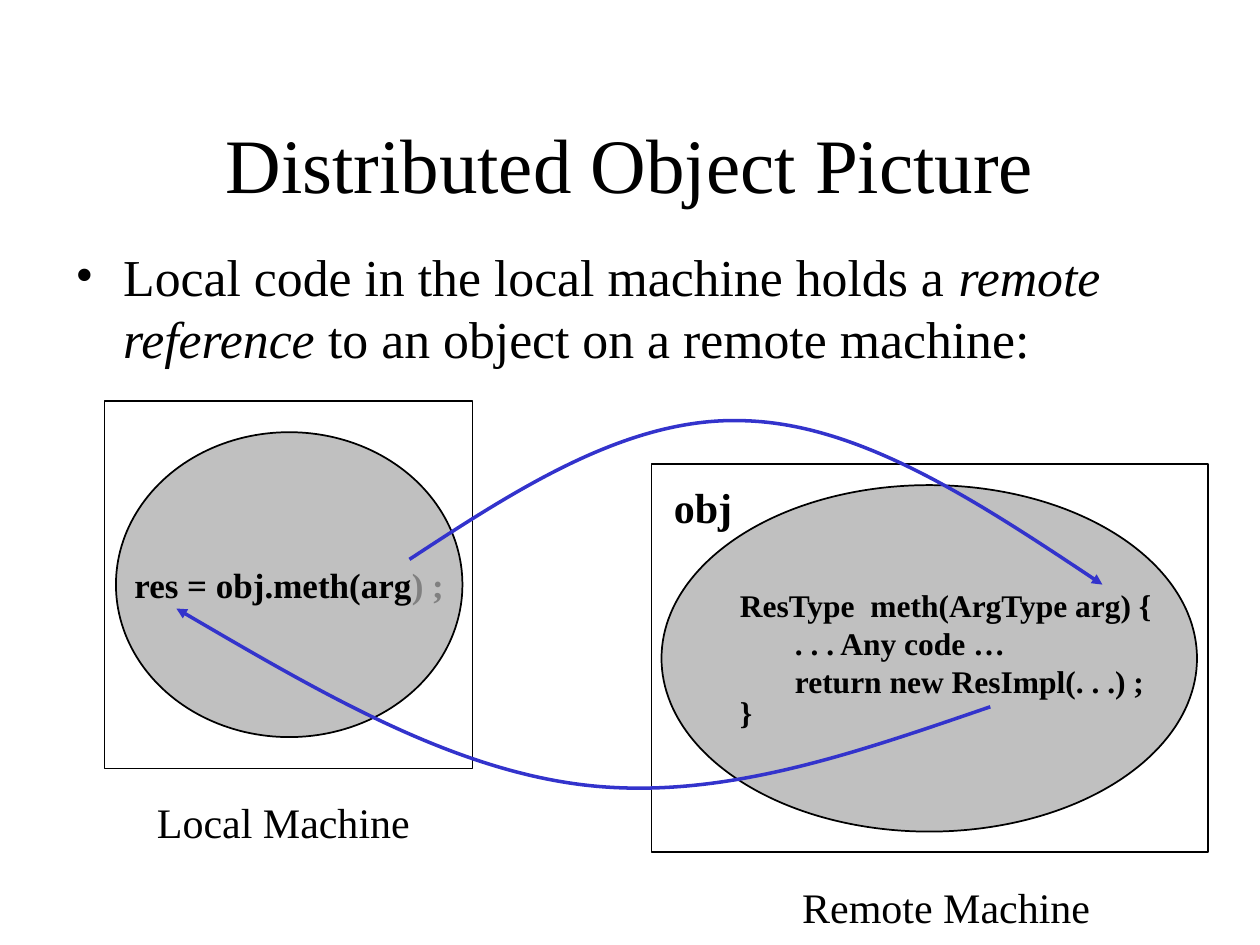
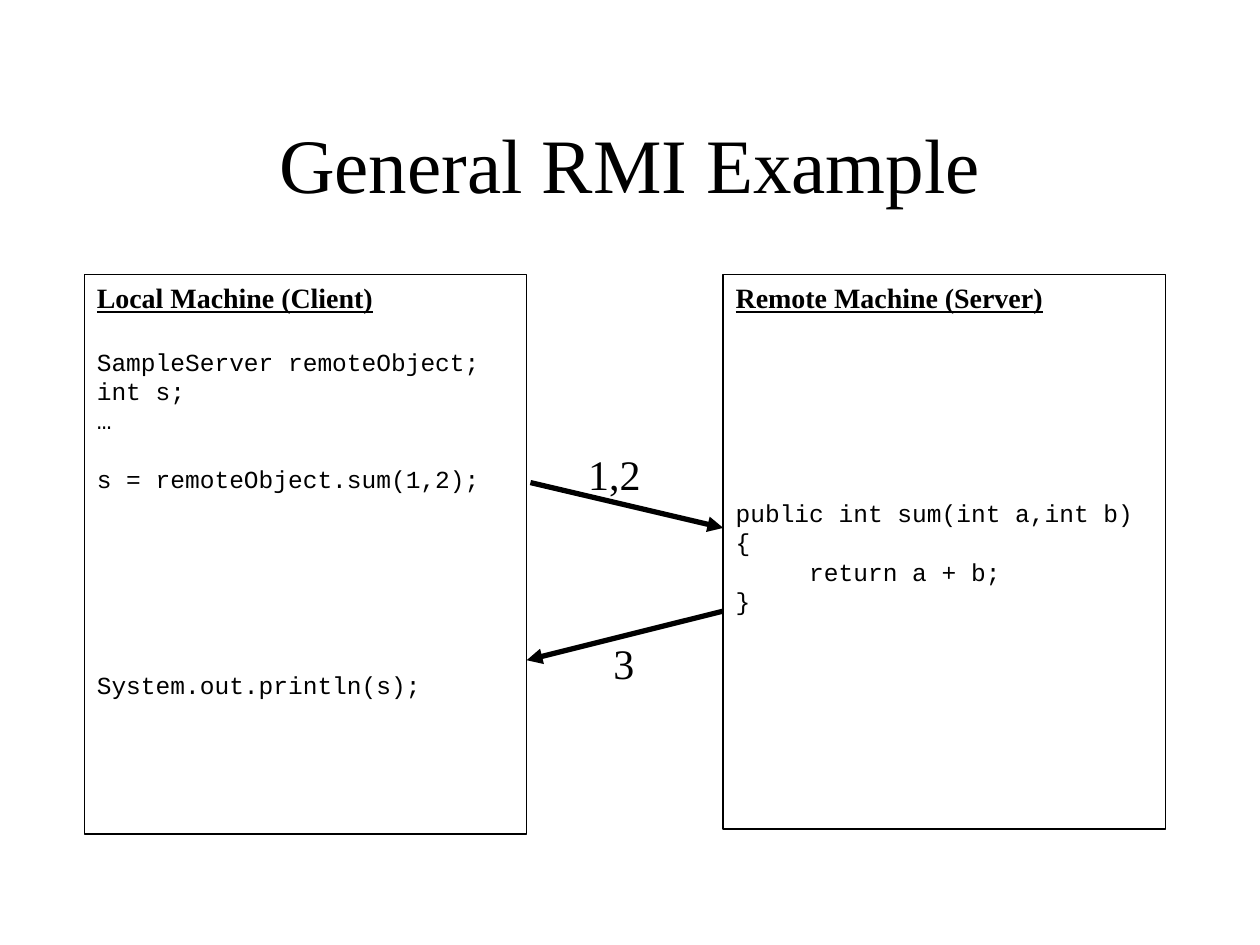
from lxml import etree
from pptx import Presentation
from pptx.dml.color import RGBColor
from pptx.enum.shapes import MSO_CONNECTOR, MSO_SHAPE
from pptx.enum.text import MSO_ANCHOR, MSO_AUTO_SIZE, PP_ALIGN
from pptx.oxml.ns import qn
from pptx.util import Inches, Pt

RECTANGLE, OVAL = MSO_SHAPE.RECTANGLE, MSO_SHAPE.OVAL
STRAIGHT = MSO_CONNECTOR.STRAIGHT
LEFT, CENTER = PP_ALIGN.LEFT, PP_ALIGN.CENTER
TOP, MIDDLE = MSO_ANCHOR.TOP, MSO_ANCHOR.MIDDLE

SERIF, MONO = "Times New Roman", "Courier New"
BLACK, GRAY, SILVER, BLUE = "000000", "808080", "C0C0C0", "3333CC"
WIDTH, HEIGHT = 10, 7.5
TITLE_AREA = (0.75, 0.67, 8.5, 1.25)
LABEL_HEIGHT = 0.5

PICTURE_TITLE = "Distributed Object Picture"
PICTURE_BULLET = [
    "Local code in the local machine holds a ",
    ("remote reference", {"italic": True}),
    " to an object on a remote machine:",
]
MACHINES = [
    ("Local Machine", (0.83, 3.18, 2.92, 2.92), (1, 6.27, 2.5, LABEL_HEIGHT)),
    ("Remote Machine", (5.17, 3.68, 4.42, 3.08), (6.1, 6.95, 2.82, LABEL_HEIGHT)),
]
CALL_CODE = ["res = obj.meth(arg", (") ;", {"color": GRAY})]
METHOD_CODE = [
    "ResType  meth(ArgType arg) {",
    "       . . . Any code …",
    "       return new ResImpl(. . .) ;",
    "}",
]
CALL_CURVES = [
    [(3.25, 4.44), (4.12, 3.87), (5, 3.3), (5.92, 3.34),
     (6.83, 3.37), (7.79, 4), (8.75, 4.64)],
    [(7.86, 5.61), (6.78, 5.98), (5.71, 6.36), (4.63, 6.23),
     (3.56, 6.1), (2.48, 5.46), (1.4, 4.83)],
]

EXAMPLE_TITLE = "General RMI Example"
PROGRAMS = [
    ("Local Machine (Client)", (0.67, 2.18, 3.51, 4.44), [
        ("SampleServer remoteObject;", 18.4),
        ("int s;", 0),
        ("…", 0),
        ("s = remoteObject.sum(1,2);", 16.8),
        ("System.out.println(s);", 101),
    ]),
    ("Remote Machine (Server)", (5.74, 2.18, 3.51, 4.4), [
        ("public int sum(int a,int b) {", 104.8),
        ("     return a + b;", 0),
        ("}", 0),
    ]),
]
MESSAGES = [
    ("1,2", (4.57, 3.51, 0.61, LABEL_HEIGHT), (4.21, 3.83), (5.74, 4.19)),
    ("3", (4.77, 5.01, 0.36, LABEL_HEIGHT), (5.74, 4.85), (4.18, 5.24)),
]


def rgb(value):
    return RGBColor.from_string(value)


def inches(values):
    return [Inches(value) for value in values]


def style_span(span, size, font=SERIF, color=BLACK, bold=False, italic=False,
               underline=False):
    span.font.name = font
    span.font.size = Pt(size)
    span.font.color.rgb = rgb(color)
    span.font.bold = bold
    span.font.italic = italic
    span.font.underline = underline


def add_text(frame, parts, first=True, align=LEFT, before=0, spacing=None, **style):
    para = frame.paragraphs[0] if first else frame.add_paragraph()
    para.alignment = align
    para.space_before = Pt(before)
    if spacing:
        para.line_spacing = spacing
    for part in [parts] if isinstance(parts, str) else parts:
        text, extra = (part, {}) if isinstance(part, str) else part
        span = para.add_run()
        span.text = text
        style_span(span, **{**style, **extra})
    return para


def set_frame(shape, anchor=TOP, wrap=True, side=0.1):
    frame = shape.text_frame
    frame.auto_size = MSO_AUTO_SIZE.NONE
    frame.word_wrap = wrap
    frame.vertical_anchor = anchor
    frame.margin_left = frame.margin_right = Inches(side)
    frame.margin_top = frame.margin_bottom = Inches(0.05)
    return frame


def add_label(page, area, parts, wrap=True, **style):
    box = page.shapes.add_textbox(*inches(area))
    return add_text(set_frame(box, wrap=wrap), parts, **style)


def add_outline(page, kind, area, fill=None):
    shape = page.shapes.add_shape(kind, *inches(area))
    shape.shadow.inherit = False
    if fill:
        shape.fill.solid()
        shape.fill.fore_color.rgb = rgb(fill)
    else:
        shape.fill.background()
    shape.line.color.rgb = rgb(BLACK)
    shape.line.width = Pt(1)
    return shape


def style_arrow(shape, color, width):
    shape.line.color.rgb = rgb(color)
    shape.line.width = Pt(width)
    line = shape.line._get_or_add_ln()
    etree.SubElement(line, qn("a:tailEnd"), type="triangle")


def add_curve(page, points):
    start, *rest = [inches(point) for point in points]
    builder = page.shapes.build_freeform(*start)
    builder.add_line_segments(rest, close=False)
    curve = builder.convert_to_shape()
    curve.shadow.inherit = False
    curve.fill.background()
    style_arrow(curve, BLUE, 2)
    outline = next(curve._element.iter(qn("a:path")))
    segments = outline.findall(qn("a:lnTo"))
    for index in range(0, len(segments), 3):
        bezier = etree.SubElement(outline, qn("a:cubicBezTo"))
        for segment in segments[index:index + 3]:
            bezier.append(segment[0])
            outline.remove(segment)


def add_arrow(page, start, end):
    arrow = page.shapes.add_connector(STRAIGHT, *inches(start + end))
    style_arrow(arrow, BLACK, 3)
    etree.SubElement(arrow._element.spPr, qn("a:effectLst"))


def add_bullet(para, indent):
    settings = para._p.get_or_add_pPr()
    settings.set("marL", str(Inches(indent)))
    settings.set("indent", str(-Inches(indent)))
    etree.SubElement(settings, qn("a:buFont"), typeface=SERIF)
    etree.SubElement(settings, qn("a:buChar"), char="•")


def add_page(deck, title):
    page = deck.slides.add_slide(deck.slide_layouts[5])
    box = page.shapes.title
    box.left, box.top, box.width, box.height = inches(TITLE_AREA)
    add_text(set_frame(box, MIDDLE), title, align=CENTER, size=44)
    return page


def build_object_page(deck):
    page = add_page(deck, PICTURE_TITLE)
    for name, area, label_area in MACHINES:
        add_outline(page, RECTANGLE, area)
        add_label(page, label_area, name, align=CENTER, size=24)

    caller = add_outline(page, OVAL, (0.92, 3.43, 2.75, 2.42), SILVER)
    add_text(set_frame(caller, MIDDLE, wrap=False), CALL_CODE,
             align=CENTER, size=20, bold=True)
    remote = add_outline(page, OVAL, (5.25, 3.85, 4.25, 2.75), SILVER)
    frame = set_frame(remote, MIDDLE, wrap=False, side=0)
    for index, code in enumerate(METHOD_CODE):
        add_text(frame, code, first=index == 0, size=18, bold=True,
                 spacing=0.8 if code == "}" else None)

    bullet = add_label(page, (0.5, 1.89, 9.17, 1.16), PICTURE_BULLET, size=29.6)
    add_bullet(bullet, 0.38)
    add_label(page, (5.25, 3.77, 0.66, LABEL_HEIGHT), "obj", wrap=False,
              size=24, bold=True)
    for points in CALL_CURVES:
        add_curve(page, points)


def build_example_page(deck):
    page = add_page(deck, EXAMPLE_TITLE)
    for heading, area, lines in PROGRAMS:
        frame = set_frame(add_outline(page, RECTANGLE, area))
        add_text(frame, heading, size=16, bold=True, underline=True)
        for code, gap in lines:
            add_text(frame, code, first=False, before=gap, size=14, font=MONO)
    for text, area, start, end in MESSAGES:
        add_arrow(page, start, end)
        add_label(page, area, text, wrap=False, size=24)


def main():
    deck = Presentation()
    deck.slide_width, deck.slide_height = inches((WIDTH, HEIGHT))
    build_object_page(deck)
    build_example_page(deck)
    deck.save("out.pptx")


if __name__ == "__main__":
    main()
